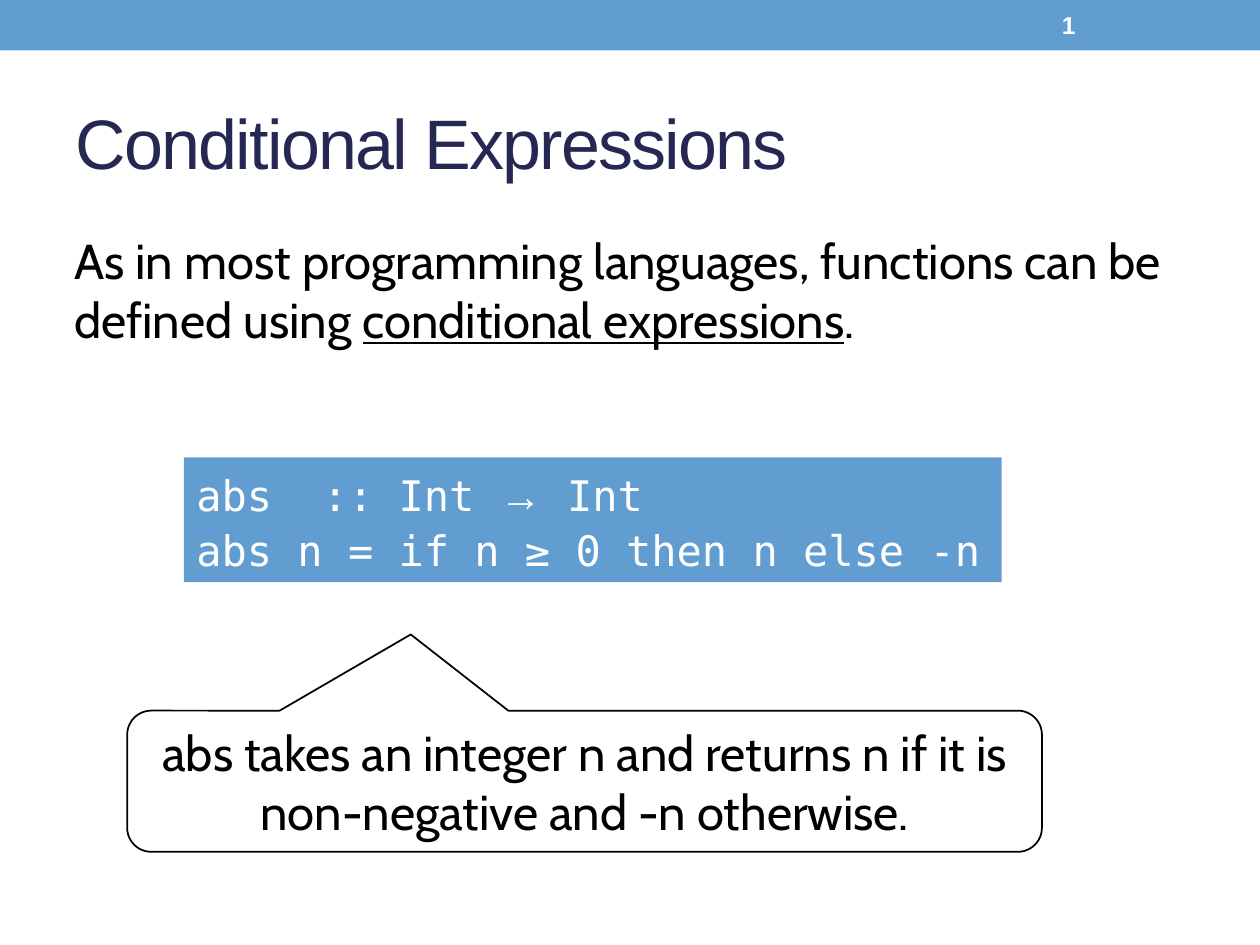
import pptx
import pptx.util
import pptx.dml.color
import pptx.enum.shapes
import pptx.enum.text

Inches = pptx.util.Inches
Kind = pptx.enum.shapes.MSO_SHAPE
Align = pptx.enum.text.PP_ALIGN
BLUE, NAVY, WHITE, BLACK = "629DD1", "242852", "FFFFFF", "000000"

HEAD = {"name": "Arial", "size": 40, "color": NAVY}
PAGE = {"name": "Arial", "size": 14, "color": WHITE, "bold": True}
BODY = {"name": "Cabin", "size": 28, "color": BLACK}
CODE = {"name": "DejaVu Sans Mono", "size": 24, "color": WHITE}


def color(code):
    return pptx.dml.color.RGBColor.from_string(code)


def style(font, form):
    for key, value in form.items():
        if key == "color":
            font.color.rgb = color(value)
        elif key == "size":
            font.size = pptx.util.Pt(value)
        else:
            setattr(font, key, value)


def write(shape, lines, form, align=Align.LEFT, space=1.0):
    """Each line is a list of (text, extra format) runs."""
    frame = shape.text_frame
    frame.word_wrap = True
    frame.vertical_anchor = pptx.enum.text.MSO_ANCHOR.MIDDLE
    for i, line in enumerate(lines):
        para = frame.add_paragraph() if i else frame.paragraphs[0]
        para.alignment = align
        para.line_spacing = space
        for text, extra in line:
            run = para.add_run()
            run.text = text
            style(run.font, {**form, **extra})


def add_text(slide, box, lines, form):
    shape = slide.shapes.add_textbox(*map(Inches, box))
    write(shape, lines, form)


def add_box(slide, kind, box, fill=None, line=None):
    shape = slide.shapes.add_shape(kind, *map(Inches, box))
    shape.shadow.inherit = False
    if fill:
        shape.fill.solid()
        shape.fill.fore_color.rgb = color(fill)
    else:
        shape.fill.background()
    if line:
        shape.line.color.rgb = color(line)
        shape.line.width = pptx.util.Pt(1)
    else:
        shape.line.fill.background()
    return shape


def add_title(slide, box, text):
    title = slide.shapes.title
    title.left, title.top, title.width, title.height = map(Inches, box)
    write(title, [[(text, {})]], HEAD)
    # Tighten the letters by one point
    run = title.text_frame.paragraphs[0].runs[0]
    run.font._element.set("spc", "-100")


def main():
    deck = pptx.Presentation()
    deck.slide_width, deck.slide_height = Inches(10), Inches(7.5)
    slide = deck.slides.add_slide(deck.slide_layouts[5])

    # Top band, page number and title
    add_box(slide, Kind.RECTANGLE, (0, 0, 10, 0.4), BLUE)
    add_text(slide, (8.33, 0.02, 1.17, 0.36), [[("1", {})]], PAGE)
    add_title(slide, (0.5, 0.58, 9, 1.08), "Conditional Expressions")

    # Opening sentence
    add_text(slide, (0.49, 1.78, 8.85, 1.03), [[
        ("As in most programming languages, functions can be defined using ", {}),
        ("conditional expressions", {"underline": True}),
        (".", {})]], BODY)

    # Code panel
    panel = add_box(slide, Kind.RECTANGLE, (1.46, 3.63, 6.49, 0.99), BLUE)
    write(panel, [
        [("abs  :: Int ", {}), ("→", {"name": "Times New Roman"}), (" Int", {})],
        [("abs n = if n ≥ 0 then n else -n", {})]], CODE, space=1.1)

    # Callout pointing at the code
    note = add_box(slide, Kind.ROUNDED_RECTANGULAR_CALLOUT,
                   (1.01, 5.64, 7.26, 1.12), line=BLACK)
    for i, value in enumerate((-0.19, -1.04, 0.17)):
        note.adjustments[i] = value
    write(note, [[("abs takes an integer n and returns n if it is "
                   "non-negative and -n otherwise.", {})]], BODY, Align.CENTER)

    deck.save("out.pptx")


if __name__ == "__main__":
    main()
